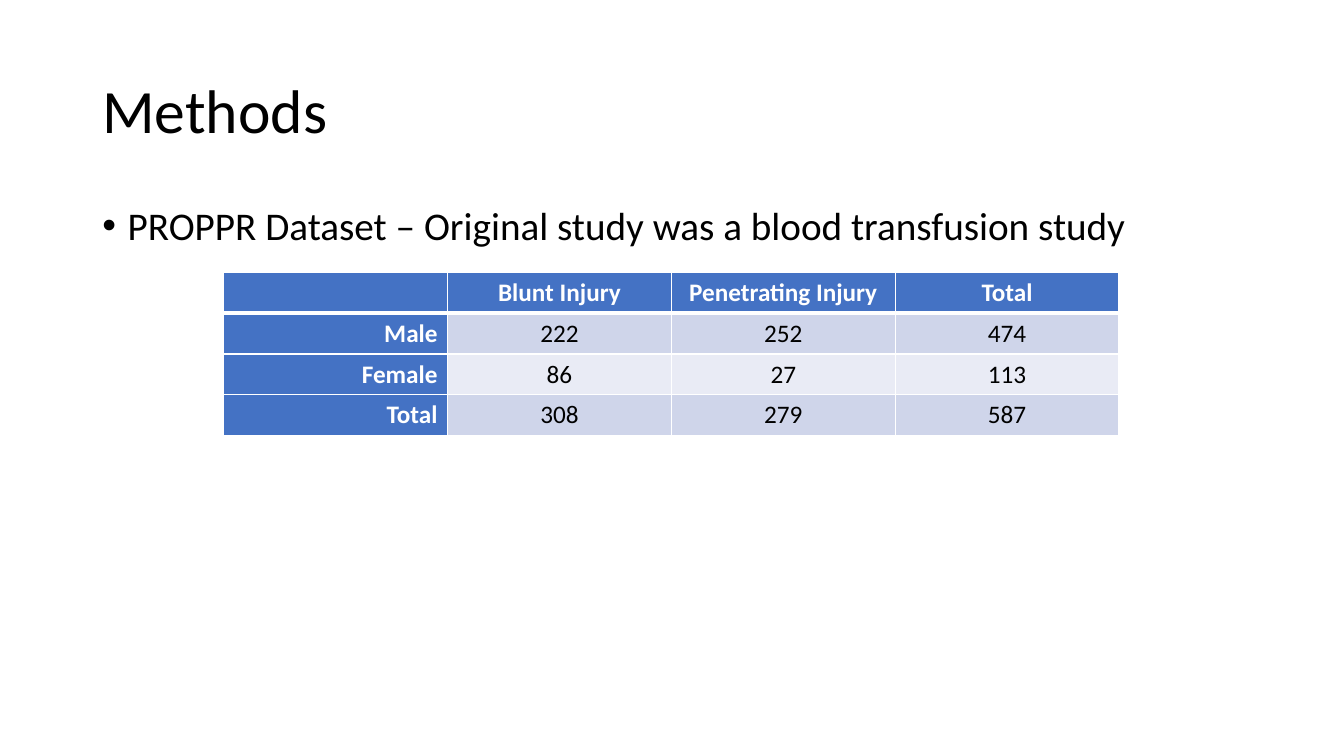
from dataclasses import dataclass

from lxml.etree import SubElement
from pptx import Presentation
from pptx.dml.color import RGBColor
from pptx.enum.text import MSO_ANCHOR, PP_ALIGN
from pptx.oxml.ns import qn
from pptx.util import Cm, Pt

# Content
TITLE = "Methods"
BULLET = "PROPPR Dataset – Original study was a blood transfusion study"
ROWS = [
    ("", "Blunt Injury", "Penetrating Injury", "Total"),
    ("Male", "222", "252", "474"),
    ("Female", "86", "27", "113"),
    ("Total", "308", "279", "587"),
]


@dataclass(frozen=True)
class Theme:
    font: str = "Calibri"
    title: int = 44
    body: int = 28
    cell: int = 18
    text: str = "000000"
    white: str = "FFFFFF"
    header: str = "4472C4"
    bands: tuple = ("E9EBF5", "CFD5EA")
    rule: int = 1
    header_rule: int = 3


T = Theme()


def style(p, size, color=T.text, bold=False):
    p.font.name, p.font.size, p.font.bold = T.font, Pt(size), bold
    p.font.color.rgb = RGBColor.from_string(color)


def add_text(s, text, size, top, height, anchor):
    sp = s.shapes.add_textbox(Cm(2.33), Cm(top), Cm(29.21), Cm(height))
    tf = sp.text_frame
    tf.word_wrap, tf.vertical_anchor = True, anchor
    p = tf.paragraphs[0]
    p.text, p.line_spacing = text, 0.9
    style(p, size)
    return p


def add_bullet(p):
    pPr = p._p.get_or_add_pPr()
    pPr.set("marL", str(Cm(0.64)))
    pPr.set("indent", str(-Cm(0.64)))
    font = pPr.makeelement(qn("a:buFont"), {"typeface": "Arial"})
    char = pPr.makeelement(qn("a:buChar"), {"char": "•"})
    pPr.find(qn("a:defRPr")).addprevious(font)
    font.addnext(char)


def set_borders(cell, top, bottom):
    tcPr = cell._tc.get_or_add_tcPr()
    for side, width in zip("LRTB", (T.rule, T.rule, top, bottom)):
        ln = SubElement(tcPr, qn(f"a:ln{side}"), w=str(Pt(width)))
        fill = SubElement(ln, qn("a:solidFill"))
        SubElement(fill, qn("a:srgbClr"), val=T.white)


def fill_cell(cell, text, row, col):
    head = row == 0 or col == 0
    p = cell.text_frame.paragraphs[0]
    p.text = text
    p.alignment = PP_ALIGN.RIGHT if row and col == 0 else PP_ALIGN.CENTER
    style(p, T.cell, T.white if head else T.text, head)
    set_borders(cell, T.header_rule if row == 1 else T.rule,
                T.header_rule if row == 0 else T.rule)
    cell.fill.solid()
    cell.fill.fore_color.rgb = RGBColor.from_string(
        T.header if head else T.bands[row % 2])


def main():
    prs = Presentation()
    prs.slide_width, prs.slide_height = Cm(33.87), Cm(19.05)
    s = prs.slides.add_slide(prs.slide_layouts[6])

    # Title and bullet
    add_text(s, TITLE, T.title, 1.01, 3.68, MSO_ANCHOR.MIDDLE)
    p = add_text(s, BULLET, T.body, 5.07, 12.09, MSO_ANCHOR.TOP)
    p.space_before = Pt(10)
    add_bullet(p)

    # Patient counts
    col_w, row_h = Cm(5.64), Cm(1.03)
    n_rows, n_cols = len(ROWS), len(ROWS[0])
    table = s.shapes.add_table(n_rows, n_cols, Cm(5.64), Cm(6.86),
                               col_w * n_cols, row_h * n_rows).table
    for column in table.columns:
        column.width = col_w
    for r, row in enumerate(ROWS):
        table.rows[r].height = row_h
        for c, text in enumerate(row):
            fill_cell(table.cell(r, c), text, r, c)

    prs.save("out.pptx")


if __name__ == "__main__":
    main()
